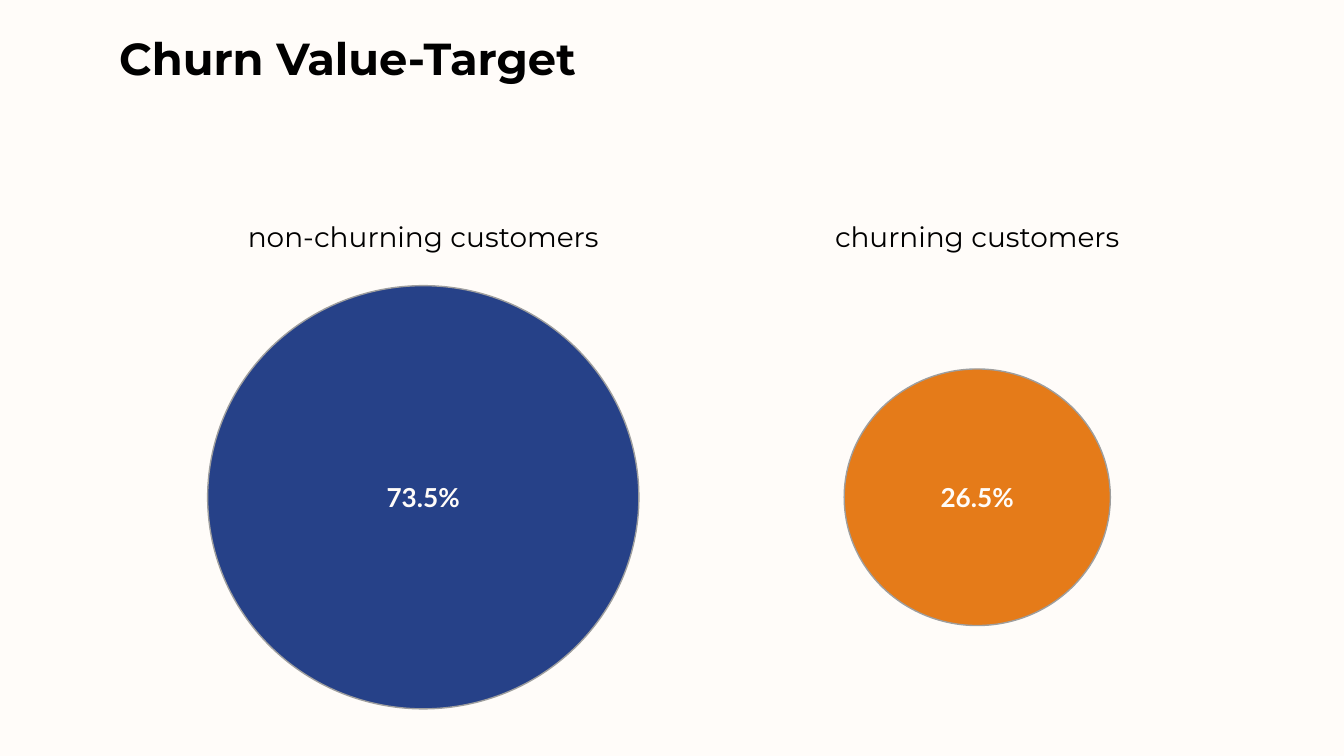
from pptx import Presentation
from pptx.dml.color import RGBColor
from pptx.enum.shapes import MSO_SHAPE
from pptx.enum.text import MSO_ANCHOR, PP_ALIGN
from pptx.util import Cm, Pt

CREAM = "FFFCF9"
BLACK = "000000"
GREY = "9E9E9E"
BLUE = "264188"
ORANGE = "E57B19"


def rgb(value):
    return RGBColor.from_string(value)


def write(tf, text, font="Montserrat", size=15, color=BLACK, bold=False,
          align=PP_ALIGN.CENTER, anchor=MSO_ANCHOR.MIDDLE, spacing=None, after=None):
    tf.word_wrap = True
    tf.vertical_anchor = anchor
    tf.margin_left = tf.margin_right = tf.margin_top = tf.margin_bottom = Cm(0.25)
    p = tf.paragraphs[0]
    p.alignment = align
    if spacing is not None:
        p.line_spacing = spacing
    if after is not None:
        p.space_after = Pt(after)
    r = p.add_run()
    r.text = text
    r.font.name = font
    r.font.size = Pt(size)
    r.font.bold = bold
    r.font.color.rgb = rgb(color)


class ChurnSlide:
    def __init__(self, prs):
        self.s = prs.slides.add_slide(prs.slide_layouts[6])
        fill = self.s.background.fill
        fill.solid()
        fill.fore_color.rgb = rgb(CREAM)

    def title(self, text):
        sp = self.s.shapes.add_textbox(Cm(2), Cm(0.33), Cm(21.41), Cm(1.52))
        write(sp.text_frame, text, size=24, bold=True,
              align=PP_ALIGN.LEFT, anchor=MSO_ANCHOR.TOP)

    def label(self, text, center, width=7.92):
        sp = self.s.shapes.add_textbox(Cm(center - width / 2), Cm(4.01), Cm(width), Cm(0.81))
        write(sp.text_frame, text, spacing=1.15, after=8)

    def bubble(self, text, center, width, height, color, middle=9.4):
        sp = self.s.shapes.add_shape(
            MSO_SHAPE.OVAL, Cm(center - width / 2), Cm(middle - height / 2),
            Cm(width), Cm(height))
        sp.shadow.inherit = False
        sp.fill.solid()
        sp.fill.fore_color.rgb = rgb(color)
        sp.line.color.rgb = rgb(GREY)
        sp.line.width = Pt(0.75)
        write(sp.text_frame, text, font="Lato", size=14, color=CREAM, bold=True)


def main():
    prs = Presentation()
    prs.slide_width = Cm(25.4)
    prs.slide_height = Cm(14.29)
    slide = ChurnSlide(prs)
    slide.title("Churn Value-Target")
    groups = [
        ("non-churning customers", "73.5%", 8, 8.15, 8, BLUE),
        ("churning customers", "26.5%", 18.47, 5.03, 4.85, ORANGE),
    ]
    for name, share, center, width, height, color in groups:
        slide.bubble(share, center, width, height, color)
        slide.label(name, center)
    prs.save("out.pptx")


if __name__ == "__main__":
    main()
